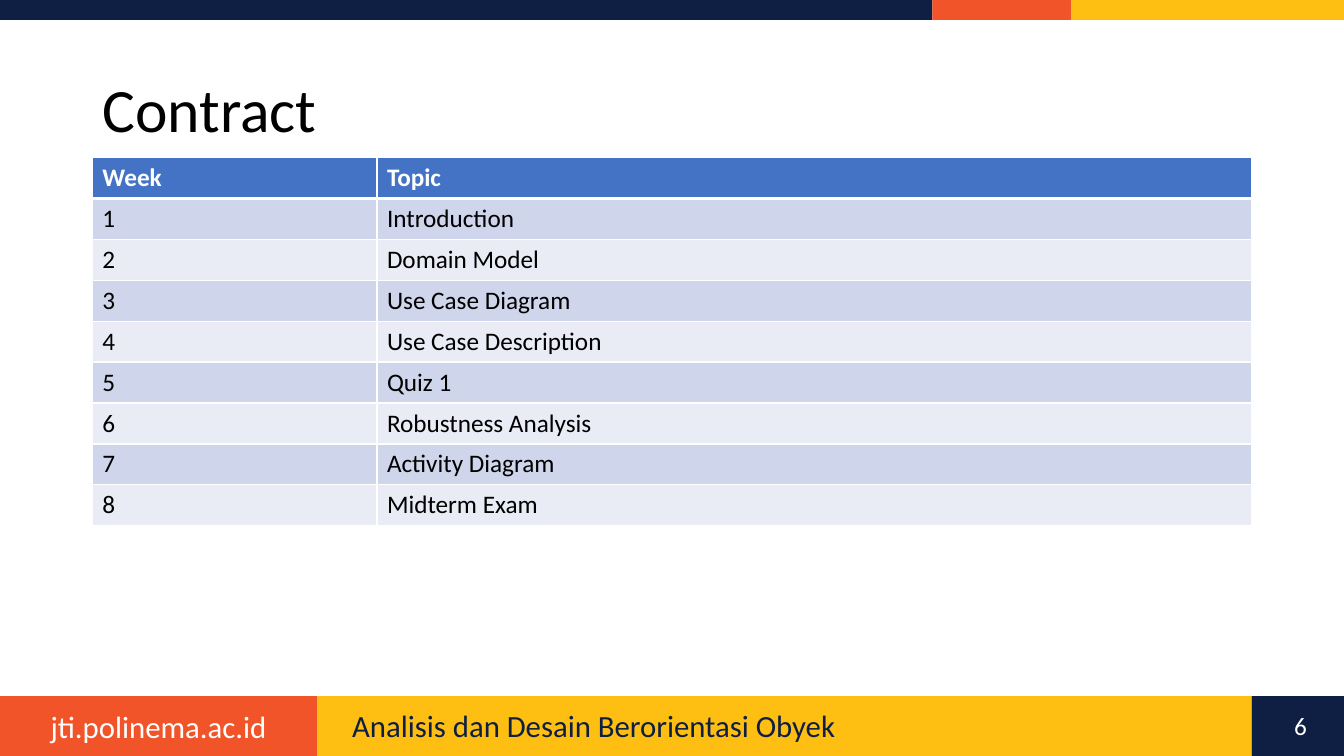
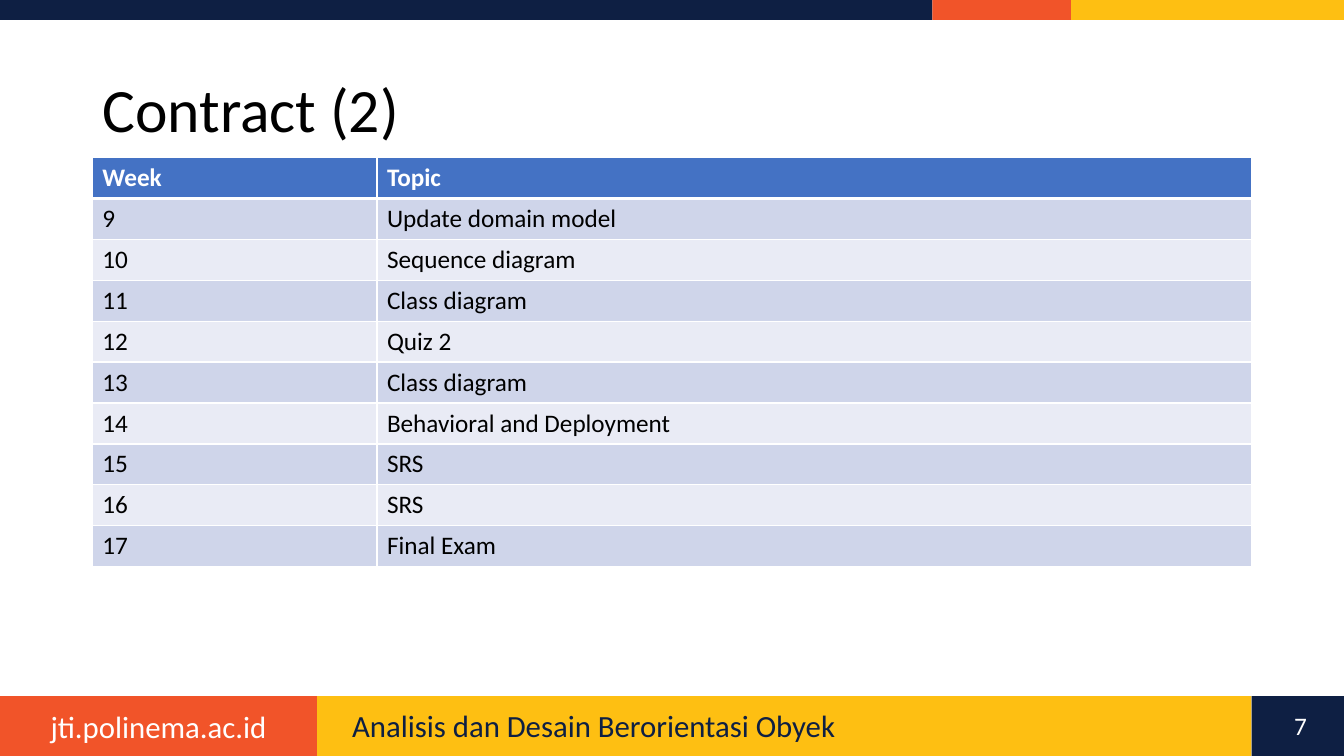
from lxml import etree
from pptx import Presentation
from pptx.dml.color import RGBColor
from pptx.enum.shapes import MSO_SHAPE
from pptx.enum.text import MSO_ANCHOR, PP_ALIGN
from pptx.oxml.ns import qn
from pptx.util import Emu, Pt

RECT = MSO_SHAPE.RECTANGLE
LEFT, CENTER = PP_ALIGN.LEFT, PP_ALIGN.CENTER
TOP, MIDDLE = MSO_ANCHOR.TOP, MSO_ANCHOR.MIDDLE

NAVY = RGBColor(0x0E, 0x1F, 0x43)
ORANGE = RGBColor(0xF1, 0x54, 0x29)
YELLOW = RGBColor(0xFE, 0xBF, 0x12)
BLUE = RGBColor(0x44, 0x72, 0xC4)
BAND = RGBColor(0xCF, 0xD5, 0xEA)
PALE = RGBColor(0xE9, 0xEB, 0xF5)
WHITE = RGBColor(0xFF, 0xFF, 0xFF)
BLACK = RGBColor(0, 0, 0)

FONT = "Calibri"
SITE = "jti.polinema.ac.id"
COURSE = "Analisis dan Desain Berorientasi Obyek"
WIDTH, HEIGHT = 1280, 720
COLS = (271, 833)
ROW = 39
HEAD = ("Week", "Topic")
FIRST = 6  # number of the first slide

# Title, first week, topics
PLANS = [
    ("Contract", 1, [
        "Introduction", "Domain Model", "Use Case Diagram",
        "Use Case Description", "Quiz 1", "Robustness Analysis",
        "Activity Diagram", "Midterm Exam"]),
    ("Contract (2)", 9, [
        "Update domain model", "Sequence diagram", "Class diagram",
        "Quiz 2", "Class diagram", "Behavioral and Deployment",
        "SRS", "SRS", "Final Exam"]),
]


def px(n):
    return Emu(n * 9525)


def write(frame, text, size=18, color=BLACK, bold=False, align=LEFT,
          space=1.0):
    para = frame.paragraphs[0]
    para.alignment = align
    para.line_spacing = space
    run = para.add_run()
    run.text = text
    font = run.font
    font.name, font.size, font.bold = FONT, Pt(size), bold
    font.color.rgb = color


class Deck:
    def __init__(self):
        self.prs = Presentation()
        self.prs.slide_width = px(WIDTH)
        self.prs.slide_height = px(HEIGHT)
        self.slide = None

    def bar(self, x, y, w, h, color):
        shape = self.slide.shapes.add_shape(RECT, px(x), px(y), px(w), px(h))
        shape.shadow.inherit = False
        shape.fill.solid()
        shape.fill.fore_color.rgb = color
        shape.line.fill.background()

    def strip(self, y, h, parts):
        x = 0
        for w, color in parts:
            self.bar(x, y, w, h, color)
            x += w

    def label(self, x, y, w, h, text, anchor=TOP, **style):
        box = self.slide.shapes.add_textbox(px(x), px(y), px(w), px(h))
        frame = box.text_frame
        frame.word_wrap = True
        frame.vertical_anchor = anchor
        write(frame, text, **style)

    def page(self, title, num):
        self.slide = self.prs.slides.add_slide(self.prs.slide_layouts[6])
        # Top and bottom bands
        self.strip(0, 19, [(888, NAVY), (132, ORANGE), (260, YELLOW)])
        self.strip(663, 57, [(302, ORANGE), (890, YELLOW), (88, NAVY)])
        # Title and footer text
        self.label(88, 38, 983, 139, title, anchor=MIDDLE, size=44, space=0.9)
        self.label(0, 669, 302, 45, SITE, size=22, color=WHITE, align=CENTER)
        self.label(326, 672, 839, 38, COURSE, size=22, color=NAVY, space=0.9)
        self.label(1209, 672, 59, 38, str(num), color=WHITE, align=CENTER)

    def edges(self, cell, **widths):
        props = cell._tc.get_or_add_tcPr()
        for side in "LRTB":
            line = etree.SubElement(props, qn("a:ln" + side),
                                    w=str(Pt(widths.get(side, 1))))
            fill = etree.SubElement(line, qn("a:solidFill"))
            etree.SubElement(fill, qn("a:srgbClr"), val=str(WHITE))

    def table(self, x, y, rows):
        grid = self.slide.shapes.add_table(
            len(rows), len(COLS), px(x), px(y),
            px(sum(COLS)), px(ROW * len(rows))).table
        grid.horz_banding = False
        for col, w in zip(grid.columns, COLS):
            col.width = px(w)
        for r, row in enumerate(rows):
            grid.rows[r].height = px(ROW)
            top = r == 0
            for c, text in enumerate(row):
                cell = grid.cell(r, c)
                # A thick rule parts the header from the body
                self.edges(cell, B=3 if top else 1, T=3 if r == 1 else 1)
                cell.fill.solid()
                cell.fill.fore_color.rgb = (
                    BLUE if top else BAND if r % 2 else PALE)
                write(cell.text_frame, text, bold=top,
                      color=WHITE if top else BLACK)


def main():
    deck = Deck()
    for num, (title, week, topics) in enumerate(PLANS, FIRST):
        deck.page(title, num)
        rows = [(str(n), topic) for n, topic in enumerate(topics, week)]
        deck.table(88, 150, [HEAD] + rows)
    deck.prs.save("out.pptx")


if __name__ == "__main__":
    main()
